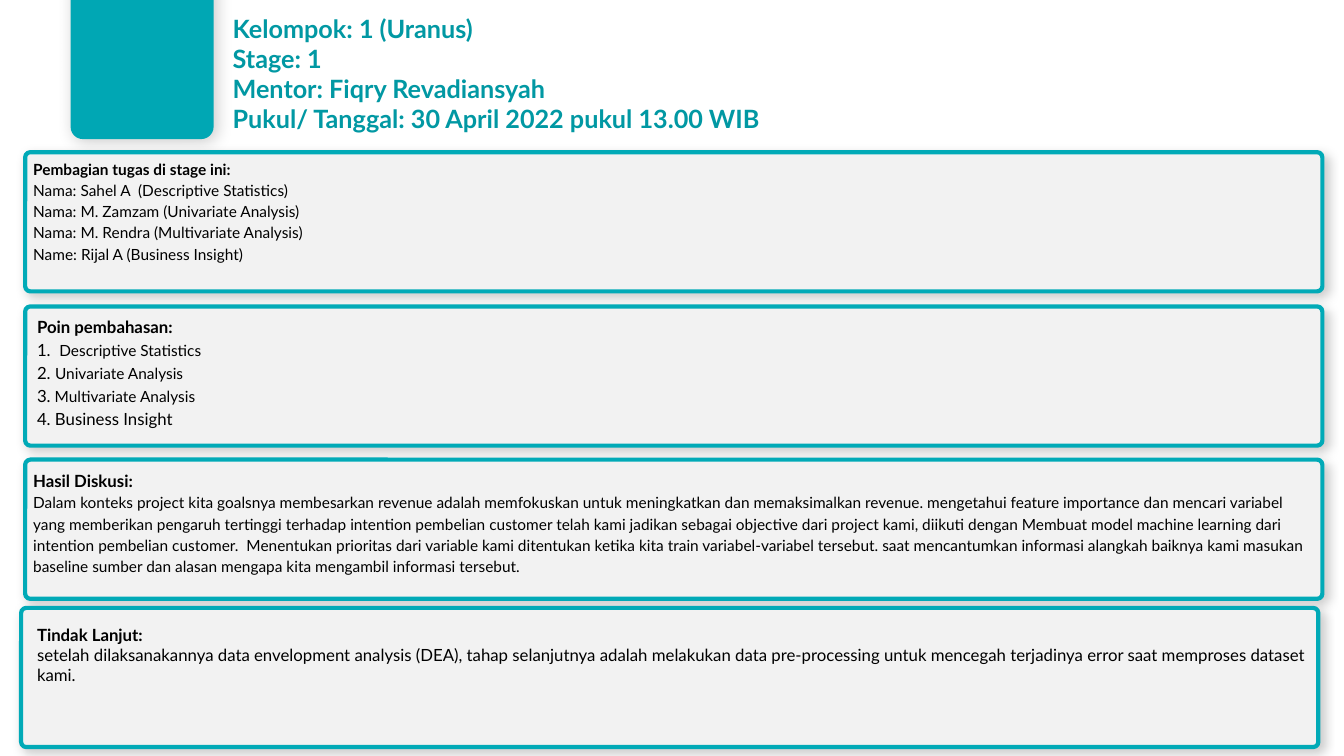
from lxml import etree
from pptx import Presentation, util as u
from pptx.dml.color import RGBColor
from pptx.enum import shapes, text
from pptx.oxml import ns

TEAL, TEAL_LINE, TEAL_TEXT = "00A7B4", "01AAB7", "0198A3"
PANEL_GREY, BLACK = "F2F2F2", "000000"
PANEL_WIDTH, PANEL_HEIGHT = 926.6, 99.4
TEXT_WIDTH = 923.8

HEADING = ["Kelompok: 1 (Uranus)", "Stage: 1", "Mentor: Fiqry Revadiansyah",
           "Pukul/ Tanggal: 30 April 2022 pukul 13.00 WIB"]

DISCUSSION = (
    "Dalam konteks project kita goalsnya membesarkan revenue adalah memfokuskan untuk "
    "meningkatkan dan memaksimalkan revenue. mengetahui feature importance dan mencari "
    "variabel yang memberikan pengaruh tertinggi terhadap intention pembelian customer "
    "telah kami jadikan sebagai objective dari project kami, diikuti dengan Membuat model "
    "machine learning dari intention pembelian customer.  Menentukan prioritas dari "
    "variable kami ditentukan ketika kita train variabel-variabel tersebut. saat "
    "mencantumkan informasi alangkah baiknya kami masukan baseline sumber dan alasan "
    "mengapa kita mengambil informasi tersebut.")

FOLLOW_UP = (
    "setelah dilaksanakannya data envelopment analysis (DEA), tahap selanjutnya adalah "
    "melakukan data pre-processing untuk mencegah terjadinya error saat memproses "
    "dataset kami.")

# Each line is a list of (words, size) runs.
TASKS = [[(line, 11)] for line in (
    "Nama: Sahel A  (Descriptive Statistics)",
    "Nama: M. Zamzam (Univariate Analysis)",
    "Nama: M. Rendra (Multivariate Analysis)",
    "Name: Rijal A (Business Insight)")]
TOPICS = [
    [("1.  ", 12), ("Descriptive Statistics", 11)],
    [("2. ", 12), ("Univariate Analysis", 11)],
    [("3.", 12), (" Multivariate Analysis", 11)],
    [("4. Business Insight", 12)]]

# Panel left and top, text left, top and height, title, title size, lines, line spacing
PANELS = [
    (18, 108.7, 16.6, 108.7, 99.4, "Pembagian tugas di stage ini:", 11, TASKS, 1.15),
    (18, 218.9, 19.4, 220.3, 90.7, "Poin pembahasan:", 12, TOPICS, 1.15),
    (18, 328.3, 16.6, 330.5, 96.5, "Hasil Diskusi:", 12, [[(DISCUSSION, 11)]], 1.15),
    (15.1, 434.2, 19.4, 440.6, 84.2, "Tindak Lanjut:", 12, [[(FOLLOW_UP, 12)]], None)]


def colour(value):
    return RGBColor.from_string(value)


class SlideWriter:
    font = "Lato"

    def __init__(self, deck):
        self.page = deck.slides.add_slide(deck.slide_layouts[6])

    def shadow(self, box, blur):
        """Give the box a soft black shadow to the lower right."""
        box.shadow.inherit = False
        effects = box._element.spPr.find(ns.qn("a:effectLst"))
        outer = etree.SubElement(effects, ns.qn("a:outerShdw"), {
            "blurRad": str(u.Pt(blur)), "dist": str(u.Pt(3)),
            "dir": str(45 * 60000), "algn": "tl", "rotWithShape": "0"})
        black = etree.SubElement(outer, ns.qn("a:srgbClr"), val=BLACK)
        etree.SubElement(black, ns.qn("a:alpha"), val="20000")

    def card(self, left, top, width, height, fill, corner, blur, line=None):
        """Draw a rounded rectangle with a shadow and, if given, a 3 pt outline."""
        box = self.page.shapes.add_shape(
            shapes.MSO_SHAPE.ROUNDED_RECTANGLE,
            *(u.Pt(length) for length in (left, top, width, height)))
        box.adjustments[0] = corner
        box.fill.solid()
        box.fill.fore_color.rgb = colour(fill)
        if line:
            box.line.color.rgb = colour(line)
            box.line.width = u.Pt(3)
        else:
            box.line.fill.background()
        self.shadow(box, blur)

    def text_box(self, left, top, width, height):
        box = self.page.shapes.add_textbox(
            *(u.Pt(length) for length in (left, top, width, height)))
        frame = box.text_frame
        layout = {"word_wrap": True, "auto_size": text.MSO_AUTO_SIZE.NONE,
                  "vertical_anchor": text.MSO_ANCHOR.TOP}
        for name, value in layout.items():
            setattr(frame, name, value)
        return frame

    def line(self, frame, runs, spacing=None, bold=False, ink=BLACK):
        """Add one paragraph of (words, size) runs to the frame."""
        first = frame.paragraphs[0]
        para = frame.add_paragraph() if first.runs else first
        if spacing:
            para.line_spacing = spacing
        for words, size in runs:
            span = para.add_run()
            span.text = words
            for name, value in {"name": self.font, "size": u.Pt(size), "bold": bold}.items():
                setattr(span.font, name, value)
            span.font.color.rgb = colour(ink)


def main():
    deck = Presentation()
    deck.slide_width, deck.slide_height = u.Pt(960), u.Pt(540)
    writer = SlideWriter(deck)

    writer.card(50.4, -25.9, 102.2, 125.3, TEAL, 0.086, blur=12)
    heading = writer.text_box(159.1, 5.8, 782.6, 96.5)
    for words in HEADING:
        writer.line(heading, [(words, 18)], bold=True, ink=TEAL_TEXT)

    for left, top, text_left, text_top, text_height, title, size, lines, spacing in PANELS:
        writer.card(left, top, PANEL_WIDTH, PANEL_HEIGHT, PANEL_GREY, 0.037,
                    blur=8, line=TEAL_LINE)
        frame = writer.text_box(text_left, text_top, TEXT_WIDTH, text_height)
        writer.line(frame, [(title, size)], 1.15, bold=True)
        for runs in lines:
            writer.line(frame, runs, spacing)

    deck.save("out.pptx")


if __name__ == "__main__":
    main()
